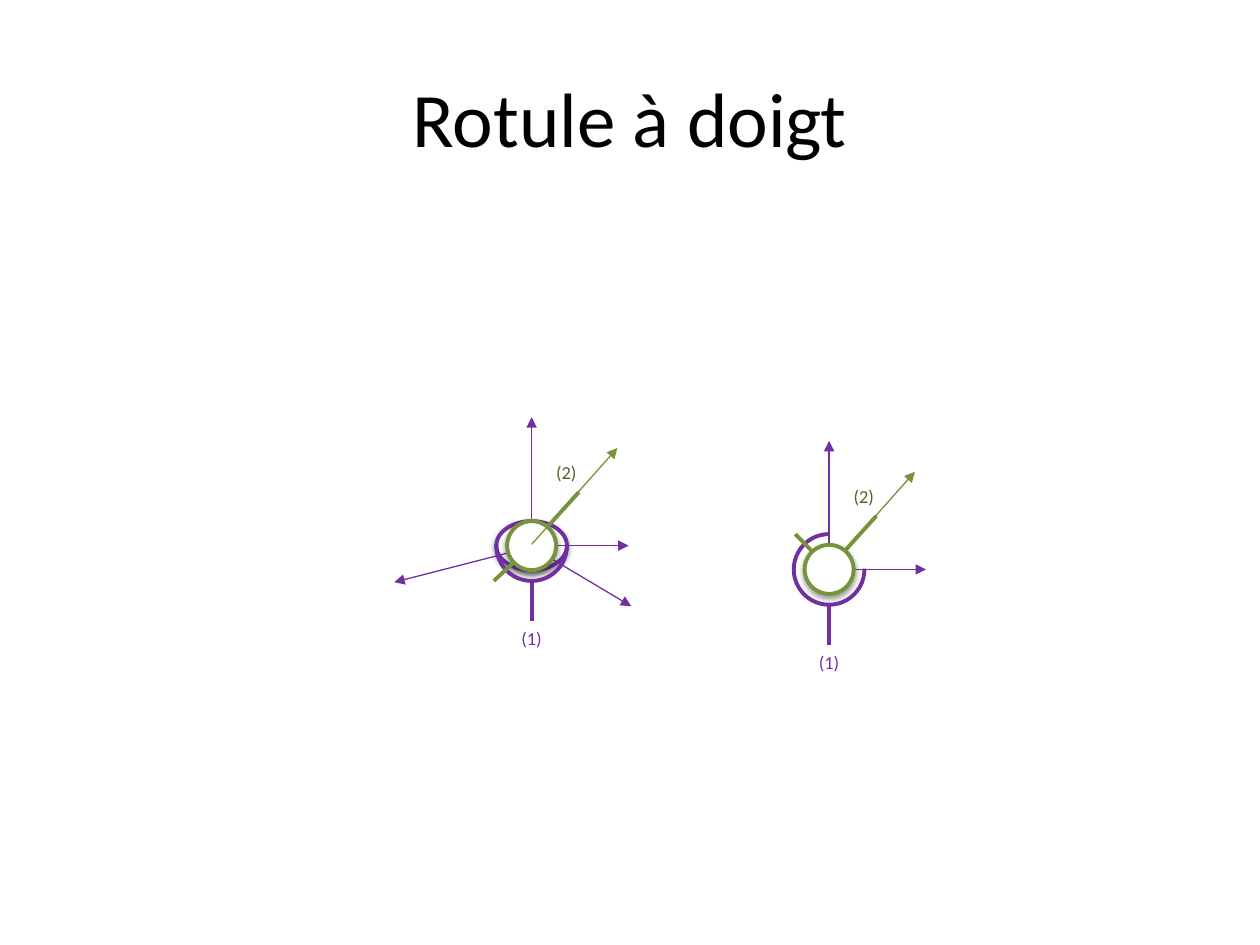
from dataclasses import dataclass

from pptx import Presentation
from pptx.dml.color import RGBColor
from pptx.enum.shapes import MSO_CONNECTOR, MSO_SHAPE
from pptx.enum.text import MSO_ANCHOR, MSO_AUTO_SIZE, PP_ALIGN
from pptx.oxml import parse_xml
from pptx.oxml.ns import nsdecls, qn
from pptx.util import Pt


@dataclass(frozen=True)
class Theme:
    font: str = "Calibri"
    black: RGBColor = RGBColor(0, 0, 0)
    white: RGBColor = RGBColor(255, 255, 255)
    purple: RGBColor = RGBColor(0x70, 0x30, 0xA0)
    green: RGBColor = RGBColor(0x77, 0x93, 0x3C)
    dark: RGBColor = RGBColor(0x4F, 0x62, 0x28)
    head: float = 44
    note: float = 10.5
    thin: float = 0.75
    thick: float = 2.25


THEME = Theme()


# Coordinates of strokes and labels are offsets from the joint centre
@dataclass(frozen=True)
class Stroke:
    x1: float
    y1: float
    x2: float
    y2: float
    color: RGBColor
    axis: bool = False


@dataclass(frozen=True)
class Label:
    text: str
    x: float
    y: float
    color: RGBColor


@dataclass(frozen=True)
class Joint:
    x: float
    y: float
    under: tuple[Stroke, ...]
    over: tuple[Stroke, ...]
    stop: float
    ring: bool = False


SHADOW = (
    f'<a:outerShdw {nsdecls("a")} blurRad="40000" dist="20000" dir="5400000" '
    'rotWithShape="0"><a:srgbClr val="000000"><a:alpha val="38000"/>'
    "</a:srgbClr></a:outerShdw>"
)
BALL, CUP = 14, 20.2
START = 215.14  # arc angles in the units of the shape adjustments

# Strokes shared by both views
FRAME = (
    Stroke(-1, 0, 55.4, 0, THEME.purple, True),
    Stroke(0, 0, 0, -73.4, THEME.purple, True),
    Stroke(0, 20.9, 0, 43.2, THEME.purple),
    Stroke(0, -0.7, 27, -30.6, THEME.green),
)
FINGER = Stroke(0, -0.7, 49, -55.8, THEME.green, True)
LABELS = (
    Label("(1)", 0, 53.6, THEME.purple),
    Label("(2)", 19.8, -41.4, THEME.dark),
)
OBLIQUE = (
    Stroke(0, 0.7, 56.9, 34.6, THEME.purple, True),
    Stroke(0, 0.7, -78.5, 20.9, THEME.purple, True),
)
SPACE = Joint(
    303.8, 311.8, FRAME + OBLIQUE,
    (FINGER, Stroke(-10.1, 9.4, -21.6, 20.2, THEME.green)), 109.47, True,
)
PLANE = Joint(
    473.8, 325.4, (FINGER,) + FRAME,
    (Stroke(-10.1, -10.8, -19.4, -20.2, THEME.green),), 161.98,
)


def add_line(shapes, joint: Joint, item: Stroke) -> None:
    line = shapes.add_connector(
        MSO_CONNECTOR.STRAIGHT,
        Pt(joint.x + item.x1), Pt(joint.y + item.y1),
        Pt(joint.x + item.x2), Pt(joint.y + item.y2),
    )
    line.line.color.rgb = item.color
    line.line.width = Pt(THEME.thin if item.axis else THEME.thick)
    props = line._element.spPr
    if item.axis:
        tip = parse_xml(f'<a:tailEnd {nsdecls("a")} type="triangle"/>')
        props.find(qn("a:ln")).append(tip)
    props.append(parse_xml(f'<a:effectLst {nsdecls("a")}/>'))


def add_round(shapes, kind: MSO_SHAPE, joint: Joint, wide: float, high: float,
              color: RGBColor, solid: bool = True):
    shape = shapes.add_shape(
        kind, Pt(joint.x - wide), Pt(joint.y - high), Pt(2 * wide), Pt(2 * high)
    )
    shape.shadow.inherit = False
    if solid:
        shape.fill.solid()
        shape.fill.fore_color.rgb = THEME.white
        shape._element.spPr.find(qn("a:effectLst")).append(parse_xml(SHADOW))
    else:
        shape.fill.background()
    shape.line.color.rgb = color
    shape.line.width = Pt(THEME.thick)
    return shape


def add_label(shapes, joint: Joint, item: Label) -> None:
    wide, high = 28, 21
    box = shapes.add_textbox(
        Pt(joint.x + item.x - wide / 2), Pt(joint.y + item.y - high / 2),
        Pt(wide), Pt(high),
    )
    frame = box.text_frame
    frame.text = item.text
    frame.word_wrap = False
    frame.auto_size = MSO_AUTO_SIZE.SHAPE_TO_FIT_TEXT
    style(frame.paragraphs[0], THEME.note, item.color)


def style(para, size: float, color: RGBColor) -> None:
    para.alignment = PP_ALIGN.CENTER
    for run in para.runs:
        run.font.name = THEME.font
        run.font.size = Pt(size)
        run.font.color.rgb = color


def add_joint(shapes, joint: Joint) -> None:
    if joint.ring:
        add_round(shapes, MSO_SHAPE.OVAL, joint, CUP, BALL, THEME.purple)
    for item in joint.under:
        add_line(shapes, joint, item)
    add_round(shapes, MSO_SHAPE.OVAL, joint, BALL, BALL, THEME.green)
    for item in LABELS:
        add_label(shapes, joint, item)
    arc = add_round(shapes, MSO_SHAPE.ARC, joint, CUP, CUP, THEME.purple, False)
    arc.adjustments[0] = START
    arc.adjustments[1] = joint.stop
    for item in joint.over:
        add_line(shapes, joint, item)


def main() -> None:
    deck = Presentation()
    deck.slide_width, deck.slide_height = Pt(720), Pt(540)
    slide = deck.slides.add_slide(deck.slide_layouts[5])

    # Title
    title = slide.shapes.title
    title.left, title.top, title.width, title.height = Pt(36), Pt(21.6), Pt(648), Pt(90)
    title.text_frame.text = "Rotule à doigt"
    title.text_frame.vertical_anchor = MSO_ANCHOR.MIDDLE
    style(title.text_frame.paragraphs[0], THEME.head, THEME.black)

    # Plane view, then the grouped space view
    add_joint(slide.shapes, PLANE)
    add_joint(slide.shapes.add_group_shape().shapes, SPACE)

    deck.save("out.pptx")


if __name__ == "__main__":
    main()
